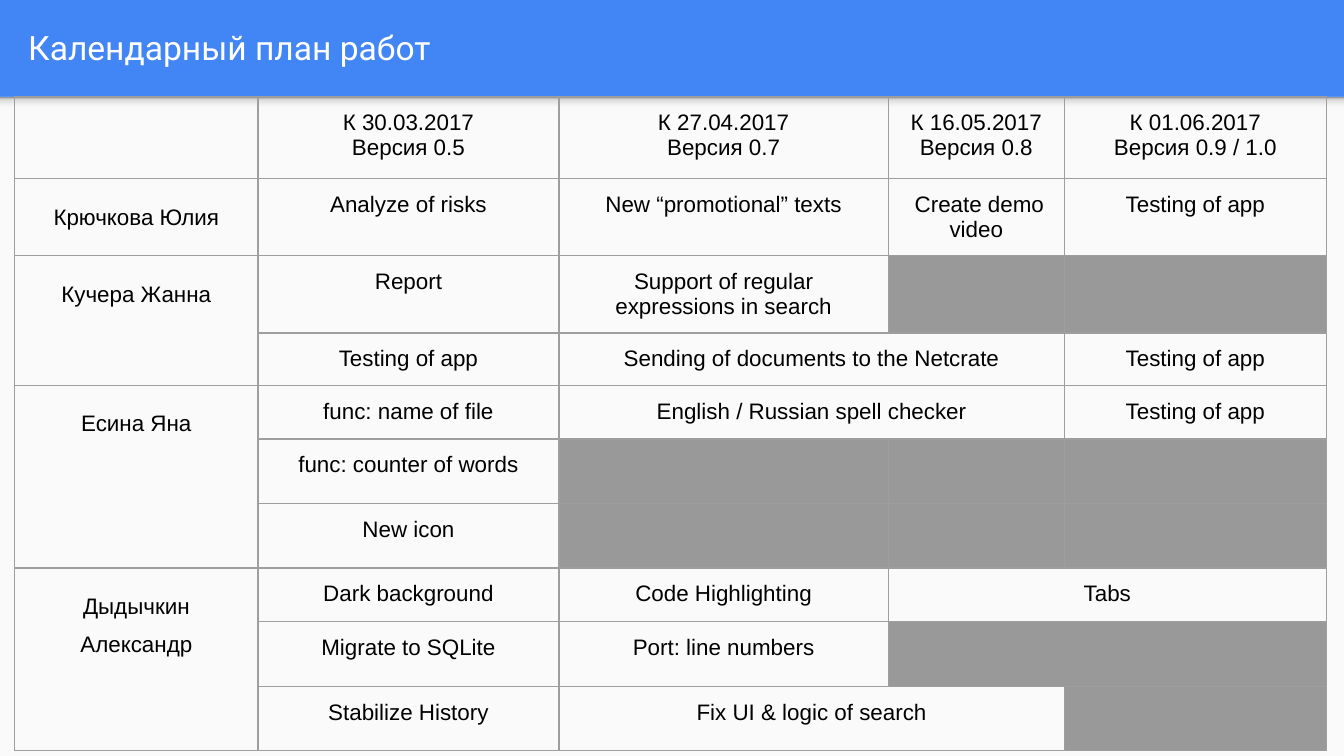
from lxml import etree
from pptx import Presentation
from pptx import util as u
from pptx.dml.color import RGBColor
from pptx.enum import shapes, text
from pptx.oxml import parse_xml
from pptx.oxml.ns import nsdecls, qn

COLORS = {"blue": "4285F4", "paper": "FAFAFA", "white": "FFFFFF",
          "ink": "000000", "border": "9E9E9E", "gray": "999999"}
SHADOW_STOPS = [(0, "F9F9F9"), (36, "F9F9F9"), (80, "DEDEDE"), (100, "999999")]
COL_WIDTHS = [1.81, 2.24, 2.45, 1.31, 1.95]
ROW_HEIGHTS = [0.61, 0.57, 0.57, 0.39, 0.4, 0.48, 0.48, 0.4, 0.48, 0.48]
UP, LEFT, GRAY = "^", "<", "#"
PLAN = [
    ["", "К 30.03.2017\nВерсия 0.5", "К 27.04.2017\nВерсия 0.7",
     "К 16.05.2017\nВерсия 0.8", "К 01.06.2017\nВерсия 0.9 / 1.0"],
    ["Крючкова Юлия", "Analyze of risks", "New “promotional” texts",
     " Create demo video", "Testing of app"],
    ["Кучера Жанна", "Report", "Support of regular expressions in search", GRAY, GRAY],
    [UP, "Testing of app", "Sending of documents to the Netcrate", LEFT, "Testing of app"],
    ["Есина Яна", "func: name of file", "English / Russian spell checker", LEFT,
     "Testing of app"],
    [UP, "func: counter of words", GRAY, GRAY, GRAY],
    [UP, "New icon", GRAY, GRAY, GRAY],
    ["Дыдычкин Александр", "Dark background", "Code Highlighting", "Tabs", LEFT],
    [UP, "Migrate to SQLite", "Port: line numbers", GRAY, LEFT],
    [UP, "Stabilize History", "Fix UI & logic of search", LEFT, GRAY],
]


def rgb(name):
    """Return the named colour."""
    return RGBColor.from_string(COLORS[name])


def add_run(p, content, size, font, color):
    """Add one formatted run to a paragraph."""
    r = p.add_run()
    r.text = content
    r.font.size = u.Pt(size)
    r.font.name = font
    r.font.color.rgb = rgb(color)


def set_margins(box):
    """Give a cell or text frame equal insets."""
    box.margin_left = box.margin_right = u.Inches(0.1)
    box.margin_top = box.margin_bottom = u.Inches(0.1)


def add_panel(s, top, height):
    """Add a full-width borderless rectangle."""
    sp = s.shapes.add_shape(shapes.MSO_SHAPE.RECTANGLE, 0, u.Inches(top),
                            u.Inches(10), u.Inches(height))
    sp.shadow.inherit = False
    sp.line.fill.background()
    sp.fill.solid()
    sp.fill.fore_color.rgb = rgb("paper")
    return sp


def add_header_shadow(s):
    """Add the strip that fades downward below the header."""
    sp = add_panel(s, 0.72, 0.12)
    stops = "".join(f'<a:gs pos="{pos * 1000}"><a:srgbClr val="{color}"/></a:gs>'
                    for pos, color in SHADOW_STOPS)
    grad = parse_xml(f'<a:gradFill {nsdecls("a")} rotWithShape="1"><a:gsLst>{stops}</a:gsLst>'
                     '<a:lin ang="16200000" scaled="0"/></a:gradFill>')
    solid = sp._element.spPr.find(qn("a:solidFill"))
    solid.getparent().replace(solid, grad)


def set_title(s, content):
    """Place and format the slide title."""
    sp = s.shapes.title
    sp.left, sp.top, sp.width, sp.height = map(u.Inches, (0.11, 0.02, 9.65, 0.66))
    tf = sp.text_frame
    set_margins(tf)
    tf.word_wrap = True
    tf.auto_size = text.MSO_AUTO_SIZE.NONE
    tf.vertical_anchor = text.MSO_ANCHOR.MIDDLE
    p = tf.paragraphs[0]
    p.alignment = text.PP_ALIGN.LEFT
    add_run(p, content, 18, "Roboto", "white")


def set_borders(cell):
    """Draw thin lines on all four sides of a cell."""
    tc_pr = cell._tc.get_or_add_tcPr()
    for i, side in enumerate(("lnL", "lnR", "lnT", "lnB")):
        ln = etree.Element(qn(f"a:{side}"), w=str(u.Pt(0.75)))
        fill = etree.SubElement(ln, qn("a:solidFill"))
        etree.SubElement(fill, qn("a:srgbClr"), val=COLORS["border"])
        tc_pr.insert(i, ln)


def fill_cell(cell, content, is_name):
    """Set the fill, borders and text of a cell."""
    if content == GRAY:
        cell.fill.solid()
        cell.fill.fore_color.rgb = rgb("gray")
    else:
        cell.fill.background()
    set_borders(cell)
    if content in ("", UP, LEFT, GRAY):
        return
    set_margins(cell)
    tf = cell.text_frame
    for i, line in enumerate(content.split("\n")):
        p = tf.add_paragraph() if i else tf.paragraphs[0]
        p.alignment = text.PP_ALIGN.CENTER
        if is_name:
            p.line_spacing = 1.5
            p.space_after = u.Pt(16)
        add_run(p, line, 12, "Arial", "ink")


def count_marks(items, mark):
    """Count the leading items equal to a mark."""
    return next((i for i, item in enumerate(items) if item != mark), len(items))


def add_plan(s):
    """Add the schedule table with its merged cells."""
    table = s.shapes.add_table(len(PLAN), len(COL_WIDTHS), u.Inches(0.11), u.Inches(0.72),
                               u.Inches(sum(COL_WIDTHS)), u.Inches(sum(ROW_HEIGHTS))).table
    table.first_row = table.horz_banding = False
    for col, width in zip(table.columns, COL_WIDTHS):
        col.width = u.Inches(width)
    for row, height in zip(table.rows, ROW_HEIGHTS):
        row.height = u.Inches(height)
    for y, row in enumerate(PLAN):
        for x, content in enumerate(row):
            cell = table.cell(y, x)
            fill_cell(cell, content, x == 0)
            if content in (UP, LEFT):
                continue
            down = count_marks([below[x] for below in PLAN[y + 1:]], UP)
            across = count_marks(row[x + 1:], LEFT)
            if down or across:
                cell.merge(table.cell(y + down, x + across))


def main():
    """Build and save the slide."""
    prs = Presentation()
    prs.slide_width = u.Inches(10)
    prs.slide_height = prs.slide_width * 9 // 16
    s = prs.slides.add_slide(prs.slide_layouts[5])
    s.background.fill.solid()
    s.background.fill.fore_color.rgb = rgb("blue")
    add_panel(s, 0.72, 4.91)
    add_header_shadow(s)
    set_title(s, "Календарный план работ")
    add_plan(s)
    prs.save("out.pptx")


main()
